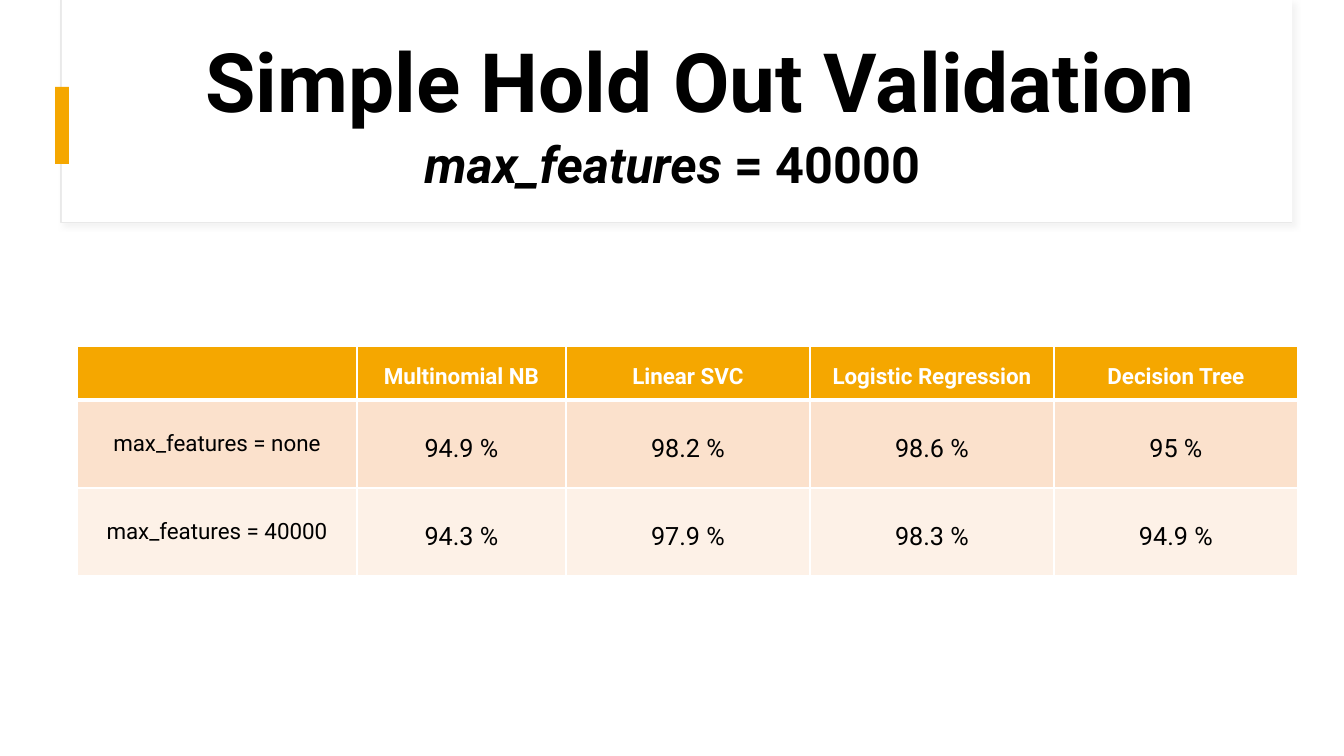
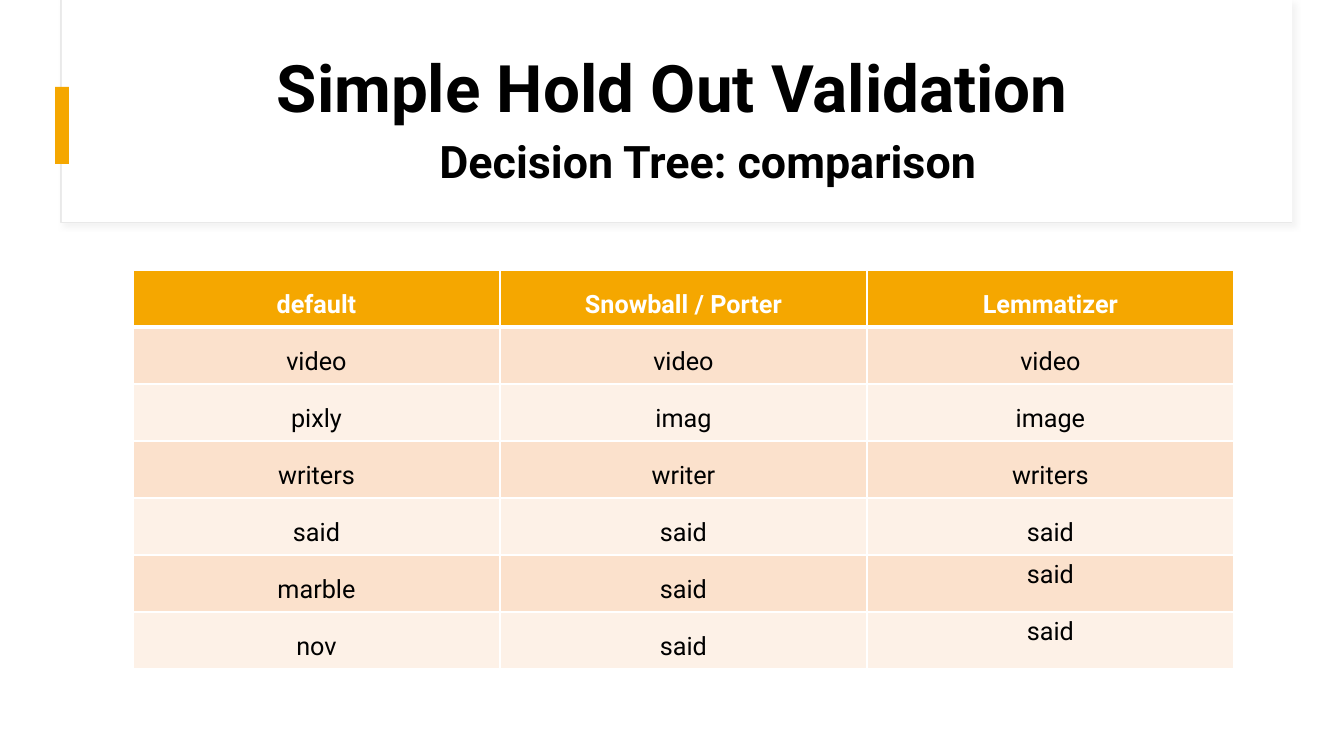
"""Build two slides of hold-out validation results."""
from lxml import etree
from pptx import Presentation
from pptx.dml.color import RGBColor
from pptx.enum.shapes import MSO_SHAPE
from pptx.enum.text import MSO_ANCHOR, PP_ALIGN
from pptx.oxml.ns import qn
from pptx.util import Emu, Pt

RECTANGLE = MSO_SHAPE.RECTANGLE
MIDDLE = MSO_ANCHOR.MIDDLE
CENTER = PP_ALIGN.CENTER

WHITE = RGBColor(0xFF, 0xFF, 0xFF)
BLACK = RGBColor(0x00, 0x00, 0x00)
AMBER = RGBColor(0xF5, 0xA7, 0x00)
PEACH = RGBColor(0xFB, 0xE1, 0xCC)
CREAM = RGBColor(0xFD, 0xF1, 0xE7)
FRAME_GRAY = RGBColor(0xE9, 0xE9, 0xE9)
SHADOW_GRAY = RGBColor(0xD9, 0xD9, 0xD9)

FONT = "Roboto"
PAGE_WIDTH, PAGE_HEIGHT = 1344, 756
EMU_PER_PX = 914400 / 100.8


def px(length):
    return Emu(round(length * EMU_PER_PX))


def add_color(parent, color):
    fill = etree.SubElement(parent, qn("a:solidFill"))
    return etree.SubElement(fill, qn("a:srgbClr"), val=str(color))


class Deck:
    def __init__(self):
        self.presentation = Presentation()
        self.presentation.slide_width = px(PAGE_WIDTH)
        self.presentation.slide_height = px(PAGE_HEIGHT)
        self.page = None

    def add_page(self):
        layout = self.presentation.slide_layouts[6]
        self.page = self.presentation.slides.add_slide(layout)
        frame = self.rectangle(61, 0, 1231, 223, WHITE, FRAME_GRAY)
        self.cast_shadow(frame)
        self.rectangle(62, 0, 1230, 222, WHITE)
        self.rectangle(55, 87, 14, 77, AMBER)

    def rectangle(self, left, top, width, height, color, line=None):
        shape = self.page.shapes.add_shape(
            RECTANGLE, px(left), px(top), px(width), px(height))
        shape.shadow.inherit = False
        shape.fill.solid()
        shape.fill.fore_color.rgb = color
        if line is None:
            shape.line.fill.background()
        else:
            shape.line.color.rgb = line
            shape.line.width = Pt(0.75)
        return shape

    def cast_shadow(self, shape):
        effects = shape.element.spPr.find(qn("a:effectLst"))
        shadow = etree.SubElement(
            effects, qn("a:outerShdw"), blurRad=str(Pt(4)), dist=str(Pt(3)),
            dir=str(45 * 60000), algn="tl", rotWithShape="0")
        color = etree.SubElement(shadow, qn("a:srgbClr"), val=str(SHADOW_GRAY))
        etree.SubElement(color, qn("a:alpha"), val="30000")

    def span(self, para, text, size, color, bold, italic=False):
        span = para.add_run()
        span.text = text
        span.font.name = FONT
        span.font.size = Pt(size)
        span.font.color.rgb = color
        span.font.bold = bold
        span.font.italic = italic

    def heading(self, left, top, size, text, width=1121, italic_lead=""):
        box = self.page.shapes.add_textbox(px(left), px(top), px(width), px(130))
        box.text_frame.word_wrap = True
        box.text_frame.vertical_anchor = MIDDLE
        para = box.text_frame.paragraphs[0]
        para.alignment = CENTER
        para.line_spacing = 0.9
        if italic_lead:
            self.span(para, italic_lead, size, BLACK, True, True)
        self.span(para, text, size, BLACK, True)

    def borders(self, cell, top, bottom):
        properties = cell._tc.get_or_add_tcPr()
        for side, width in (("L", 1), ("R", 1), ("T", top), ("B", bottom)):
            line = etree.SubElement(
                properties, qn(f"a:ln{side}"), w=str(Pt(width)))
            add_color(line, WHITE)

    def cell(self, cell, row, text, size, spacing):
        header = row == 0
        self.borders(cell, 3 if row == 1 else 1, 3 if header else 1)
        cell.fill.solid()
        cell.fill.fore_color.rgb = AMBER if header else (CREAM, PEACH)[row % 2]
        if text:
            para = cell.text_frame.paragraphs[0]
            para.alignment = CENTER
            para.line_spacing = spacing
            self.span(para, text, size, WHITE if header else BLACK, header)

    def table(self, left, top, widths, heights, rows,
              header_size=18, body_spacing=1.5, exceptions=None):
        table = self.page.shapes.add_table(
            len(heights), len(widths), px(left), px(top),
            px(sum(widths)), px(sum(heights))).table
        table.first_row = False
        table.horz_banding = False
        for column, width in zip(table.columns, widths):
            column.width = px(width)
        for line, height in zip(table.rows, heights):
            line.height = px(height)
        for row, texts in enumerate(rows):
            for column, text in enumerate(texts):
                style = {"size": 18 if row else header_size,
                         "spacing": body_spacing if row else 1.5}
                style.update((exceptions or {}).get((row, column), {}))
                self.cell(table.cell(row, column), row, text, **style)


def main():
    deck = Deck()

    deck.add_page()
    deck.heading(140, 21, 58.5, "Simple Hold Out Validation")
    deck.heading(112, 102, 36, "= 40000", italic_lead="max_features ")
    scores = [
        ("", "Multinomial NB", "Linear SVC", "Logistic Regression", "Decision Tree"),
        ("max_features = none", "94.9 %", "98.2 %", "98.6 %", "95 %"),
        ("max_features = 40000", "94.3 %", "97.9 %", "98.3 %", "94.9 %"),
    ]
    row_labels = {(row, 0): {"size": 16} for row in (1, 2)}
    deck.table(77, 346, [280, 209] + [244] * 3, [54, 88, 88], scores,
               header_size=16, body_spacing=2, exceptions=row_labels)

    deck.add_page()
    deck.heading(112, 99, 32, "Decision Tree: comparison", width=1192)
    deck.heading(112, 26, 46.8, "Simple Hold Out Validation")
    words = [
        ("default", "Snowball / Porter", "Lemmatizer"),
        ("video", "video", "video"),
        ("pixly", "imag", "image"),
        ("writers", "writer", "writers"),
        ("said", "said", "said"),
        ("marble", "said", "said"),
        ("nov", "said", "said"),
    ]
    single_spaced = {(row, 2): {"spacing": 1} for row in (5, 6)}
    deck.table(133, 270, [367] * 3, [57] * len(words), words,
               exceptions=single_spaced)

    deck.presentation.save("out.pptx")


if __name__ == "__main__":
    main()
